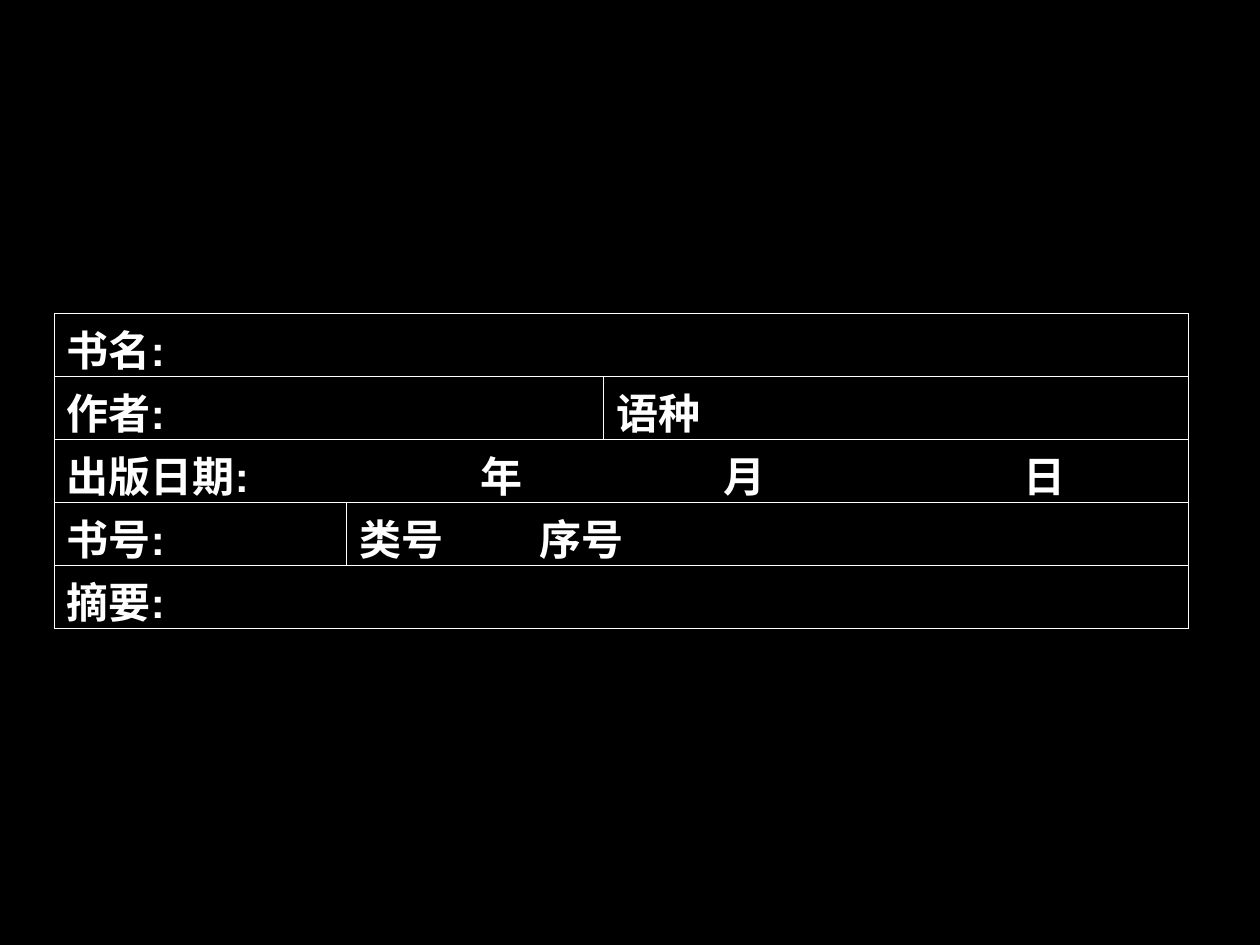
from pptx import Presentation
from pptx.dml.color import RGBColor
from pptx.oxml import parse_xml
from pptx.oxml.ns import nsdecls
from pptx.util import Inches, Pt

# Content: per row, (first column, last column, text, tab stops in inches)
ROWS = [
    [(0, 2, "书名:", [])],
    [(0, 1, "作者:", []), (2, 2, "语种", [])],
    [(0, 2, "出版日期:\t年\t月\t日", [3.28, 5.21, 7.59])],
    [(0, 0, "书号:", []), (1, 2, "类号\t序号", [1.43])],
    [(0, 2, "摘要:", [])],
]
COLS = [2.32, 2.04, 4.64]
LEFT, TOP, ROW = 0.43, 2.49, 0.5
FACE = "Arial"
COLOR = {"back": "000000", "ink": "FFFFFF"}


def border(cell):
    props = cell._tc.get_or_add_tcPr()
    for i, side in enumerate(("lnL", "lnR", "lnT", "lnB")):
        props.insert(i, parse_xml(
            f'<a:{side} {nsdecls("a")} w="{Pt(0.45)}"><a:solidFill>'
            f'<a:srgbClr val="{COLOR["ink"]}"/></a:solidFill></a:{side}>'))


def write(cell, text, tabs):
    cell.text_frame.text = text
    para = cell.text_frame.paragraphs[0]
    if tabs:
        stops = "".join(f'<a:tab pos="{Inches(t)}" algn="l"/>' for t in tabs)
        para._p.get_or_add_pPr().append(
            parse_xml(f'<a:tabLst {nsdecls("a")}>{stops}</a:tabLst>'))
    for run in para.runs:
        font = run.font
        font.name, font.size, font.bold = FACE, Pt(24), True
        font.color.rgb = RGBColor.from_string(COLOR["ink"])
        # East Asian text takes the same face
        run._r.get_or_add_rPr().append(
            parse_xml(f'<a:ea {nsdecls("a")} typeface="{FACE}"/>'))


# Slide
deck = Presentation()
deck.slide_width, deck.slide_height = Inches(10), Inches(7.5)
slide = deck.slides.add_slide(deck.slide_layouts[6])
slide.background.fill.solid()
slide.background.fill.fore_color.rgb = RGBColor.from_string(COLOR["back"])

# Book card table
table = slide.shapes.add_table(
    len(ROWS), len(COLS), Inches(LEFT), Inches(TOP),
    Inches(sum(COLS)), Inches(ROW * len(ROWS))).table
table.first_row = table.horz_banding = False
for col, width in zip(table.columns, COLS):
    col.width = Inches(width)
for row in table.rows:
    row.height = Inches(ROW)
    for cell in row.cells:
        cell.fill.background()
        cell.margin_left = cell.margin_right = Inches(0.1)
        cell.margin_top, cell.margin_bottom = Inches(0.12), 0
        border(cell)

# Entries
for r, row in enumerate(ROWS):
    for first, last, text, tabs in row:
        cell = table.cell(r, first)
        if last > first:
            cell.merge(table.cell(r, last))
        write(cell, text, tabs)

deck.save("out.pptx")
